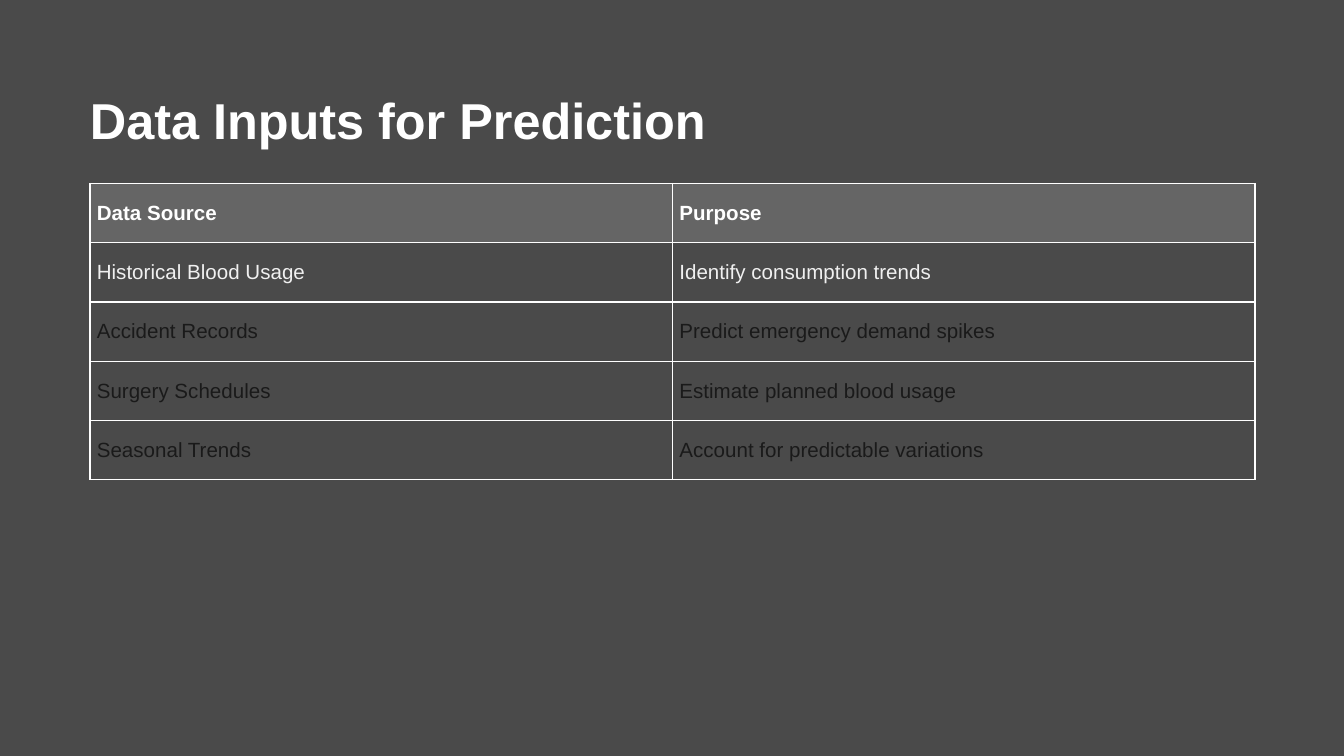
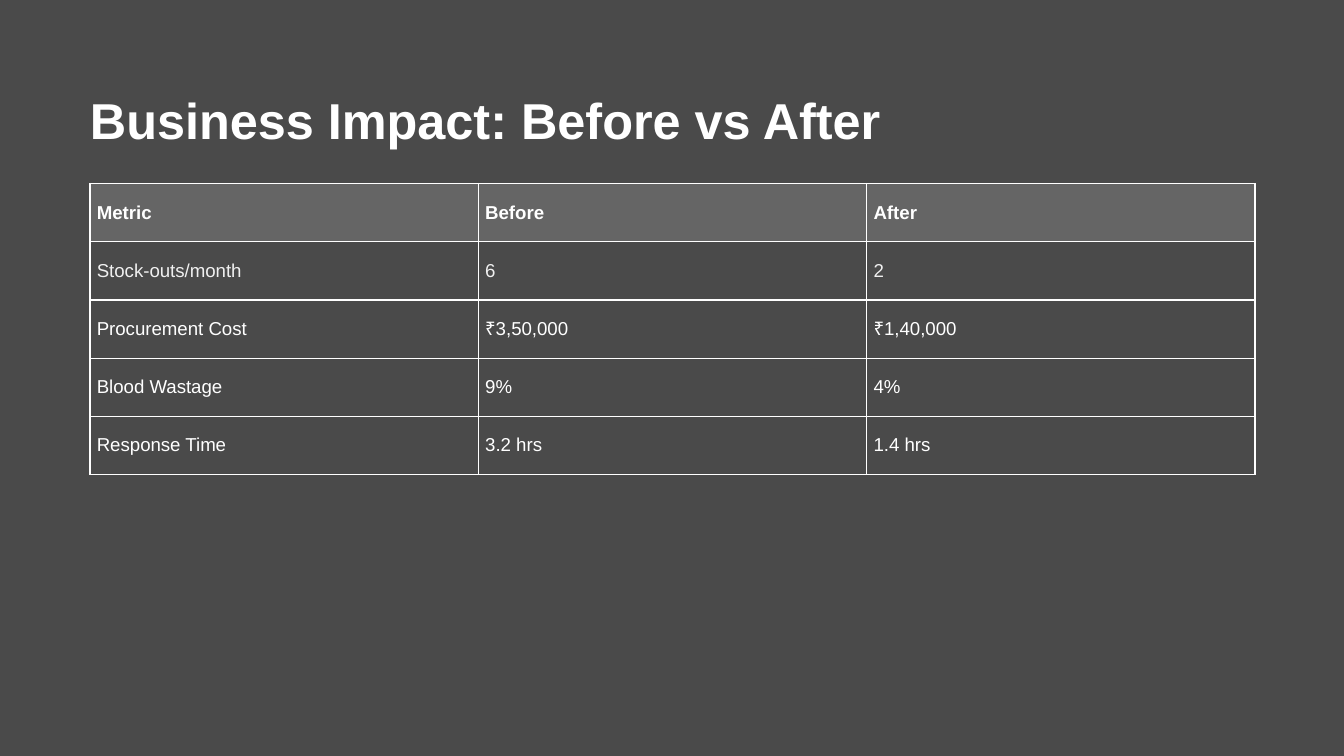
from lxml.etree import SubElement
from pptx import Presentation
from pptx.dml.color import RGBColor
from pptx.enum.text import MSO_ANCHOR, MSO_AUTO_SIZE, PP_ALIGN
from pptx.oxml.ns import qn
from pptx.util import Cm, Pt

BACK, BAND, WHITE, PALE, DARK = "4A4A4A", "656565", "FFFFFF", "F0F0F0", "1A1A1A"
LEFT = 1.7
TITLE_BOX = LEFT, 1.7, 22.45, 1.13
GRID_BOX = LEFT, 3.47, 22.02
PAD = Cm(0.13)
TITLE_ONLY = 5

INPUTS = [
    ("Data Source", "Purpose"),
    ("Historical Blood Usage", "Identify consumption trends"),
    ("Accident Records", "Predict emergency demand spikes"),
    ("Surgery Schedules", "Estimate planned blood usage"),
    ("Seasonal Trends", "Account for predictable variations"),
]
IMPACT = [
    ("Metric", "Before", "After"),
    ("Stock-outs/month", "6", "2"),
    ("Procurement Cost", "₹3,50,000", "₹1,40,000"),
    ("Blood Wastage", "9%", "4%"),
    ("Response Time", "3.2 hrs", "1.4 hrs"),
]


def paint(fill, color):
    fill.solid()
    fill.fore_color.rgb = RGBColor.from_string(color)


def assign(item, values):
    for name, value in values.items():
        setattr(item, name, value)


def style(para, size, color, bold):
    font = para.runs[0].font
    assign(font, {"name": "Arial", "size": Pt(size), "bold": bold})
    font.color.rgb = RGBColor.from_string(color)


def rule(cell, color=WHITE, width=0.8):
    """Draw a line on all four sides of a cell."""
    props = cell._tc.get_or_add_tcPr()
    for place, side in enumerate("LRTB"):
        line = SubElement(props, qn(f"a:ln{side}"), w=str(int(Pt(width))))
        fill = SubElement(line, qn("a:solidFill"))
        SubElement(fill, qn("a:srgbClr"), val=color)
        props.insert(place, line)


def add_title(slide, text, box):
    title = slide.shapes.title
    assign(title, dict(zip(("left", "top", "width", "height"), map(Cm, box))))
    frame = title.text_frame
    frame.text = text
    assign(frame, {
        "margin_left": 0, "margin_right": 0, "margin_top": 0, "margin_bottom": 0,
        "vertical_anchor": MSO_ANCHOR.TOP, "word_wrap": True,
        "auto_size": MSO_AUTO_SIZE.SHAPE_TO_FIT_TEXT,
    })
    para = frame.paragraphs[0]
    assign(para, {"alignment": PP_ALIGN.LEFT, "line_spacing": Pt(32)})
    style(para, 27, WHITE, True)


def add_grid(slide, rows, box, step, size, ink):
    """Add a ruled table whose rows are step cm high; ink colours the later rows."""
    left, top, width = box
    count = len(rows[0])
    table = slide.shapes.add_table(
        len(rows), count, Cm(left), Cm(top), Cm(width), Cm(step * len(rows))).table
    assign(table, {"first_row": False, "horz_banding": False})
    for column in table.columns:
        column.width = Cm(width / count)
    colors = [WHITE, PALE] + [ink] * (len(rows) - 2)
    for r, (words, color) in enumerate(zip(rows, colors)):
        table.rows[r].height = Cm(step)
        for c, word in enumerate(words):
            cell = table.cell(r, c)
            cell.text = word
            assign(cell, {
                "margin_left": PAD, "margin_right": PAD, "margin_top": PAD,
                "margin_bottom": PAD, "vertical_anchor": MSO_ANCHOR.MIDDLE,
            })
            style(cell.text_frame.paragraphs[0], size, color, r == 0)
            if r == 0:
                paint(cell.fill, BAND)
            else:
                cell.fill.background()
            rule(cell)


def add_page(deck, title, rows, step, size, ink):
    slide = deck.slides.add_slide(deck.slide_layouts[TITLE_ONLY])
    add_title(slide, title, TITLE_BOX)
    add_grid(slide, rows, GRID_BOX, step, size, ink)


def main():
    deck = Presentation()
    assign(deck, {"slide_width": Cm(25.4), "slide_height": Cm(14.29)})
    paint(deck.slide_master.background.fill, BACK)
    add_page(deck, "Data Inputs for Prediction", INPUTS, 1.12, 11, DARK)
    add_page(deck, "Business Impact: Before vs After", IMPACT, 1.1, 10, WHITE)
    deck.save("out.pptx")


if __name__ == "__main__":
    main()
